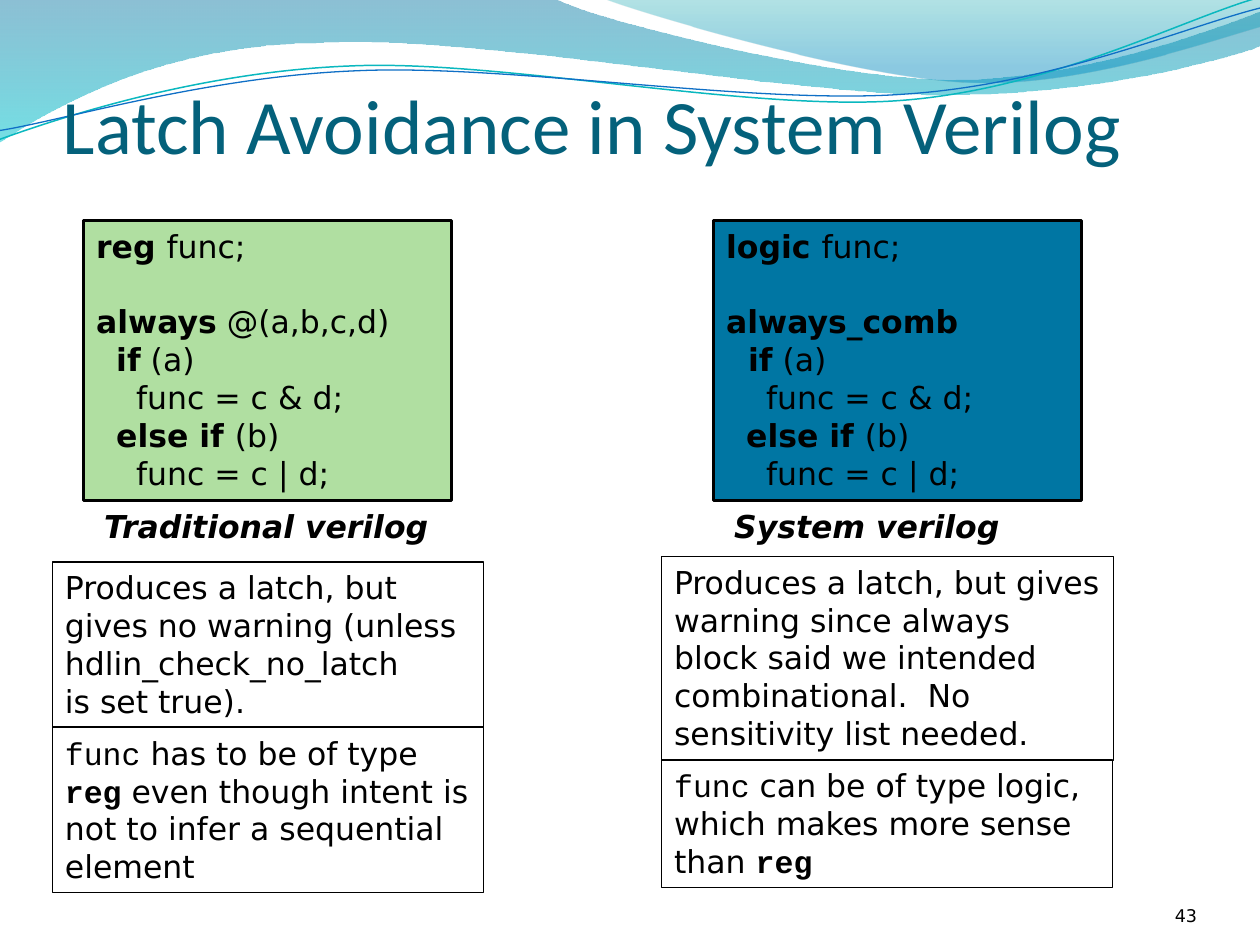
"""Build the slide comparing latch avoidance in Verilog and System Verilog."""
from lxml import etree
from pptx import Presentation
from pptx import util as u
from pptx.dml.color import RGBColor
from pptx.enum import shapes, text
from pptx.oxml.ns import qn

BLACK = RGBColor(0x00, 0x00, 0x00)
TITLE_BLUE = RGBColor(0x04, 0x61, 0x7B)
GREEN = RGBColor(0xB0, 0xDF, 0xA1)
BLUE = RGBColor(0x00, 0x76, 0xA3)
WAVE_BLUE = RGBColor(0x00, 0x74, 0xA1)
WAVE_CYAN = RGBColor(0x00, 0xC6, 0xCF)
WAVE_TEAL = RGBColor(0x00, 0xA1, 0xA9)
WAVE_SKY = RGBColor(0x00, 0x8B, 0xBF)
LINE_TEAL = RGBColor(0x0A, 0xB8, 0xBF)
LINE_BLUE = RGBColor(0x0F, 0x6F, 0xC6)
SANS, MONO, HEADING = "DejaVu Sans", "Courier New", "Calibri"


def add_wave(slide, start, segments, closed):
    """Draw straight (one point) and cubic (three point) segments, in inches."""
    start, *ends = [(u.Cm(x * 2.54), u.Cm(y * 2.54))
                    for x, y in [start] + [segment[-1] for segment in segments]]
    builder = slide.shapes.build_freeform(*start)
    builder.add_line_segments(ends, close=closed)
    shape = builder.convert_to_shape()
    shape.shadow.inherit = False
    lines = list(shape._element.spPr.iter(qn("a:lnTo")))
    for line, segment in zip(lines, segments):
        if len(segment) == 3:
            line.tag = qn("a:cubicBezTo")
            for index, (x, y) in enumerate(segment[:2]):
                point = etree.Element(qn("a:pt"))
                point.set("x", str(u.Cm(x * 2.54) - shape.left))
                point.set("y", str(u.Cm(y * 2.54) - shape.top))
                line.insert(index, point)
    return shape


def write(shape, lines, size=18, color=BLACK, font=SANS):
    """Fill a shape with lines of (text, style) runs; styles are b, i and m."""
    frame = shape.text_frame
    frame.word_wrap = True
    frame.vertical_anchor = text.MSO_ANCHOR.TOP
    for index, runs in enumerate(lines):
        paragraph = frame.paragraphs[0] if index == 0 else frame.add_paragraph()
        paragraph.alignment = text.PP_ALIGN.LEFT
        for content, style in runs:
            run = paragraph.add_run()
            run.text = content
            run.font.name = MONO if "m" in style else font
            run.font.size = u.Pt(size)
            run.font.bold = "b" in style
            run.font.italic = "i" in style
            run.font.color.rgb = color
    return frame


presentation = Presentation()
presentation.slide_width, presentation.slide_height = u.Cm(25.4), u.Cm(19.05)
slide = presentation.slides.add_slide(presentation.slide_layouts[6])

filled_waves = [
    ((0, -0.01), [
        [(4.4, -0.01)],
        [(4.76, 0.17), (6.64, 0.63), (7.58, 0.63)],
        [(8.53, 0.63), (9.58, 0.26), (10, 0.09)],
        [(10.01, 0.36)],
        [(9.83, 0.44), (8.7, 0.76), (7.46, 0.75)],
        [(6.22, 0.75), (3.82, 0.28), (2.57, 0.34)],
        [(1.29, 0.35), (0.46, 0.83), (-0.01, 1.13)],
    ], [(0, WAVE_BLUE, 45), (1, WAVE_CYAN, 55)]),
    ((4.79, -0.01), [
        [(5.09, 0.11), (6.82, 0.62), (7.69, 0.65)],
        [(8.56, 0.69), (9.61, 0.32), (10, 0.21)],
        [(10, 0)],
    ], [(0, WAVE_TEAL, 30), (0.8, WAVE_SKY, 45)]),
]
for start, segments, stops in filled_waves:
    wave = add_wave(slide, start, segments, True)
    wave.line.fill.background()
    wave.fill.gradient()
    wave.fill.gradient_angle = 270
    for stop, (position, color, _) in zip(wave.fill.gradient_stops, stops):
        stop.position = position
        stop.color.rgb = color
    for element, (_, _, opacity) in zip(wave._element.spPr.iter(qn("a:srgbClr")), stops):
        etree.SubElement(element, qn("a:alpha")).set("val", str(opacity * 1000))

line_waves = [
    ((-0.02, 0.87), [
        [(0.47, 0.72), (1.58, 0.41), (2.78, 0.42)],
        [(3.96, 0.42), (5.91, 0.93), (7.12, 0.9)],
        [(8.32, 0.87), (9.4, 0.36), (10, 0.22)],
    ], LINE_TEAL, 0.85),
    ((-0.02, 0.8), [
        [(0.46, 0.75), (1.64, 0.45), (2.83, 0.46)],
        [(4.03, 0.46), (5.96, 0.88), (7.16, 0.85)],
        [(8.35, 0.83), (9.42, 0.42), (10.02, 0.3)],
    ], LINE_BLUE, 0.75),
]
for start, segments, color, width in line_waves:
    wave = add_wave(slide, start, segments, False)
    wave.rotation = 357.3
    wave.fill.background()
    wave.line.color.rgb = color
    wave.line.width = u.Pt(width)

title = slide.shapes.add_textbox(u.Cm(1.27), u.Cm(0.25), u.Cm(22.86), u.Cm(3.18))
frame = write(title, [[("Latch Avoidance in System Verilog", "")]], 44, TITLE_BLUE, HEADING)
frame.vertical_anchor = text.MSO_ANCHOR.BOTTOM
frame.margin_left = frame.margin_right = frame.margin_bottom = 0

number = slide.shapes.add_textbox(u.Cm(22.02), u.Cm(17.65), u.Cm(2.11), u.Cm(1.02))
frame = write(number, [[("43", "")]], 10)
frame.vertical_anchor = text.MSO_ANCHOR.BOTTOM
frame.margin_left = frame.margin_right = frame.margin_top = frame.margin_bottom = 0
frame.paragraphs[0].alignment = text.PP_ALIGN.RIGHT

columns = [
    (1.69, GREEN, "reg ", [("always", "b"), (" @(a,b,c,d)", "")],
     [("  ", ""), ("if", "b")], "Traditional verilog", 7.14, [
        (1.06, 11.33, 8.69, 3.33, [
            [("Produces a latch, but gives no warning (unless hdlin_check_no_latch", "")],
            [("is set true).", "")]]),
        (1.06, 14.67, 8.69, 3.33, [
            [("func", "m"), (" has to be of type ", ""), ("reg", "mb"),
             (" even though intent is not to infer a sequential element", "")]])]),
    (14.39, BLUE, "logic ", [("always_comb", "b")],
     [("  if", "b")], "System verilog", 5.87, [
        (13.34, 11.22, 9.11, 4.11, [
            [("Produces a latch, but gives warning since always block said we intended "
              "combinational.  No sensitivity list needed.", "")]]),
        (13.34, 15.32, 9.09, 2.57, [
            [("func", "m"), (" can be of type logic, which makes more sense than ", ""),
             ("reg", "mb")]])]),
]
for left, color, keyword, block, condition, caption, caption_width, notes in columns:
    code = slide.shapes.add_shape(shapes.MSO_SHAPE.RECTANGLE,
                                  u.Cm(left), u.Cm(4.45), u.Cm(7.42), u.Cm(5.64))
    code.shadow.inherit = False
    code.fill.solid()
    code.fill.fore_color.rgb = color
    code.line.color.rgb = BLACK
    code.line.width = u.Pt(1.75)
    frame = write(code, [
        [(keyword, "b"), ("func;", "")],
        block,
        condition + [(" (a)", "")],
        [("    func = c & d;", "")],
        [("  ", ""), ("else if ", "b"), ("(b)", "")],
        [("    func = c | d;", "")],
    ])
    frame.paragraphs[1].space_before = u.Cm(0.76)

    label = slide.shapes.add_textbox(u.Cm(left + 0.16), u.Cm(10.09),
                                     u.Cm(caption_width), u.Cm(1.02))
    write(label, [[(caption, "bi")]]).word_wrap = False

    for note_left, top, width, height, lines in notes:
        note = slide.shapes.add_shape(shapes.MSO_SHAPE.RECTANGLE, u.Cm(note_left),
                                      u.Cm(top), u.Cm(width), u.Cm(height))
        note.shadow.inherit = False
        note.fill.background()
        note.line.color.rgb = BLACK
        note.line.width = u.Pt(0.75)
        write(note, lines)

presentation.save("out.pptx")
